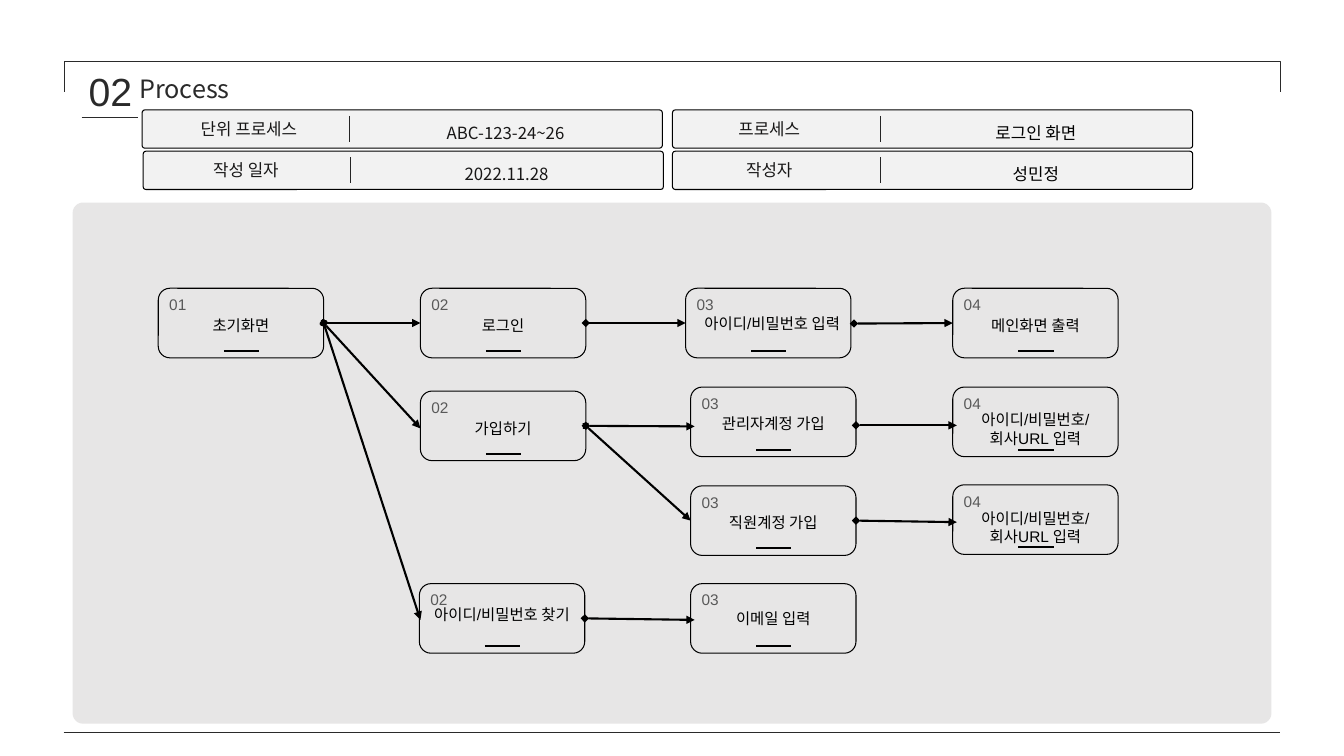
from lxml import etree
from pptx import Presentation
from pptx.dml.color import RGBColor
from pptx.enum import shapes, text
from pptx.oxml.ns import qn
from pptx.util import Inches, Pt

KOREAN, LATIN = "Noto Sans CJK KR", "Arial"
BLACK, DARK, INK, GREY = "000000", "2A2A2A", "181717", "595959"

# left, top, label left, label, value, value colour
CARDS = [
    (1.42, 1.5, 1.61, "작성 일자", "2022.11.28", INK),
    (1.41, 1.09, 1.64, "단위 프로세스", "ABC-123-24~26", INK),
    (6.67, 1.5, 6.8, "작성자", "성민정", BLACK),
    (6.67, 1.09, 6.8, "프로세스", "로그인 화면", BLACK),
]
CARD_W, CARD_H = 5.16, 0.38

# key: left, top, step number, label offset from the top, label lines
STEPS = {
    "start": (1.57, 2.86, "01", 0.23, ["초기화면"]),
    "login": (4.17, 2.86, "02", 0.23, ["로그인"]),
    "credentials": (6.8, 2.86, "03", 0.21, ["아이디/비밀번호 입력"]),
    "main": (9.45, 2.86, "04", 0.23, ["메인화면 출력"]),
    "join": (4.17, 3.88, "02", 0.23, ["가입하기"]),
    "admin": (6.85, 3.84, "03", 0.22, ["관리자계정 가입"]),
    "admin_url": (9.45, 3.84, "04", 0.18, ["아이디/비밀번호/", "회사URL 입력"]),
    "staff": (6.85, 4.82, "03", 0.22, ["직원계정 가입"]),
    "staff_url": (9.45, 4.81, "04", 0.19, ["아이디/비밀번호/", "회사URL 입력"]),
    "find": (4.16, 5.79, "02", 0.16, ["아이디/비밀번호 찾기"]),
    "email": (6.85, 5.79, "03", 0.2, ["이메일 입력"]),
}
STEP_W, STEP_H = 1.64, 0.69

# each end is a step, joined at its side, or a free point
ARROWS = [
    ("start", "login"),
    ("login", "credentials"),
    ("join", (6.89, 4.23)),
    ("join", "staff"),
    ("find", (6.89, 6.15)),
    ((8.47, 3.21), "main"),
    ("staff", (9.49, 5.18)),
    ((8.49, 4.22), (9.49, 4.22)),
    ("start", (4.17, 4.25)),
    ("start", (4.17, 6.15)),
]

prs = Presentation()
prs.slide_width, prs.slide_height = Inches(13.33), Inches(7.5)
s = prs.slides.add_slide(prs.slide_layouts[6])


def rgb(value):
    return RGBColor.from_string(value)


def add_box(x, y, w, h, adj, fill=None, line=None, kind="ROUNDED_RECTANGLE"):
    sp = s.shapes.add_shape(shapes.MSO_SHAPE[kind], *map(Inches, (x, y, w, h)))
    sp.shadow.inherit = False
    sp.adjustments[0] = adj
    if fill:
        sp.fill.solid()
        sp.fill.fore_color.rgb = rgb(fill)
    else:
        sp.fill.background()
    if line:
        sp.line.color.rgb = rgb(line)
        sp.line.width = Pt(0.75)
    else:
        sp.line.fill.background()
    return sp


def add_text(lines, x, y, w, h, size=11, font=LATIN, color=BLACK,
             align="CENTER", spacing=None, insets=(0.1, 0.05, 0.1, 0.05)):
    tf = s.shapes.add_textbox(*map(Inches, (x, y, w, h))).text_frame
    tf.word_wrap = True
    (tf.margin_left, tf.margin_top,
     tf.margin_right, tf.margin_bottom) = map(Inches, insets)
    for i, line in enumerate(lines):
        p = tf.add_paragraph() if i else tf.paragraphs[0]
        p.alignment = text.PP_ALIGN[align]
        if spacing:
            p.line_spacing = spacing
        r = p.add_run()
        r.text = line
        r.font.size, r.font.name = Pt(size), font
        r.font.color.rgb = rgb(color)
        etree.SubElement(r._r.get_or_add_rPr(), qn("a:ea"), typeface=KOREAN)


def add_line(start, end, color=BLACK, width=0.75):
    line = s.shapes.add_connector(
        shapes.MSO_CONNECTOR.STRAIGHT, *map(Inches, (*start, *end)))
    line.line.color.rgb = rgb(color)
    line.line.width = Pt(width)
    etree.SubElement(line._element.spPr, qn("a:effectLst"))
    return line


def add_card(x, y, label_x, label, value, color):
    add_box(x, y, CARD_W, CARD_H, 0.075, "F2F2F2", BLACK)
    add_text([label], label_x, y + 0.01, 1.66, 0.32, size=12, font=KOREAN,
             color=INK, spacing=1.14)
    add_line((x + 2.06, y + 0.06), (x + 2.06, y + 0.32), "242424")
    add_text([value], x + 2.19, y + 0.02, 2.83, 0.36, size=12, font=KOREAN,
             color=color, spacing=1.3)


def add_step(x, y, number, label_dy, label):
    box = add_box(x, y, STEP_W, STEP_H, 0.167, line=BLACK)
    add_text([number], x + 0.01, y + 0.02, 0.61, 0.29, color=GREY, align="LEFT")
    add_line((x + 0.65, y + 0.62), (x + 1, y + 0.62), width=1.5)
    # long labels sit slightly right of centre in the credentials step
    shift = 0.04 if number == "03" and "/" in label[0] else 0
    add_text(label, x + shift, y + label_dy, STEP_W, 0.29,
             insets=(0.05, 0.05, 0.05, 0.05))
    return box


def add_arrow(start, end, boxes):
    def point(place, dx):
        if place in STEPS:
            x, y = STEPS[place][:2]
            return x + dx, y + STEP_H / 2
        return place

    arrow = add_line(point(start, STEP_W), point(end, 0), width=1.5)
    if start in boxes:
        arrow.begin_connect(boxes[start], 3)
    if end in boxes:
        arrow.end_connect(boxes[end], 1)
    ln = arrow.line._get_or_add_ln()
    etree.SubElement(ln, qn("a:headEnd"), type="diamond")
    etree.SubElement(ln, qn("a:tailEnd"), type="triangle")


add_box(0.72, 2.01, 11.89, 5.17, 0.02, "E7E6E6")
frame = add_box(6.52, -5.27, 0.3, 12.06, 0, line=DARK, kind="RIGHT_BRACKET")
frame.rotation = 270
add_line((0.63, 7.27), (12.7, 7.27), DARK)

for card in CARDS:
    add_card(*card)

add_text(["Process"], 1.34, 0.71, 1.26, 0.33, size=18, font=KOREAN, color=DARK,
         align="LEFT", insets=(0.04, 0.02, 0.12, 0.02))
add_text(["02"], 0.88, 0.67, 0.49, 0.46, size=28, color=DARK, align="LEFT",
         insets=(0, 0, 0, 0))
add_line((0.81, 1.17), (1.37, 1.17), DARK)

step_boxes = {key: add_step(*step) for key, step in STEPS.items()}
for arrow_ends in ARROWS:
    add_arrow(*arrow_ends, step_boxes)

prs.save("out.pptx")
